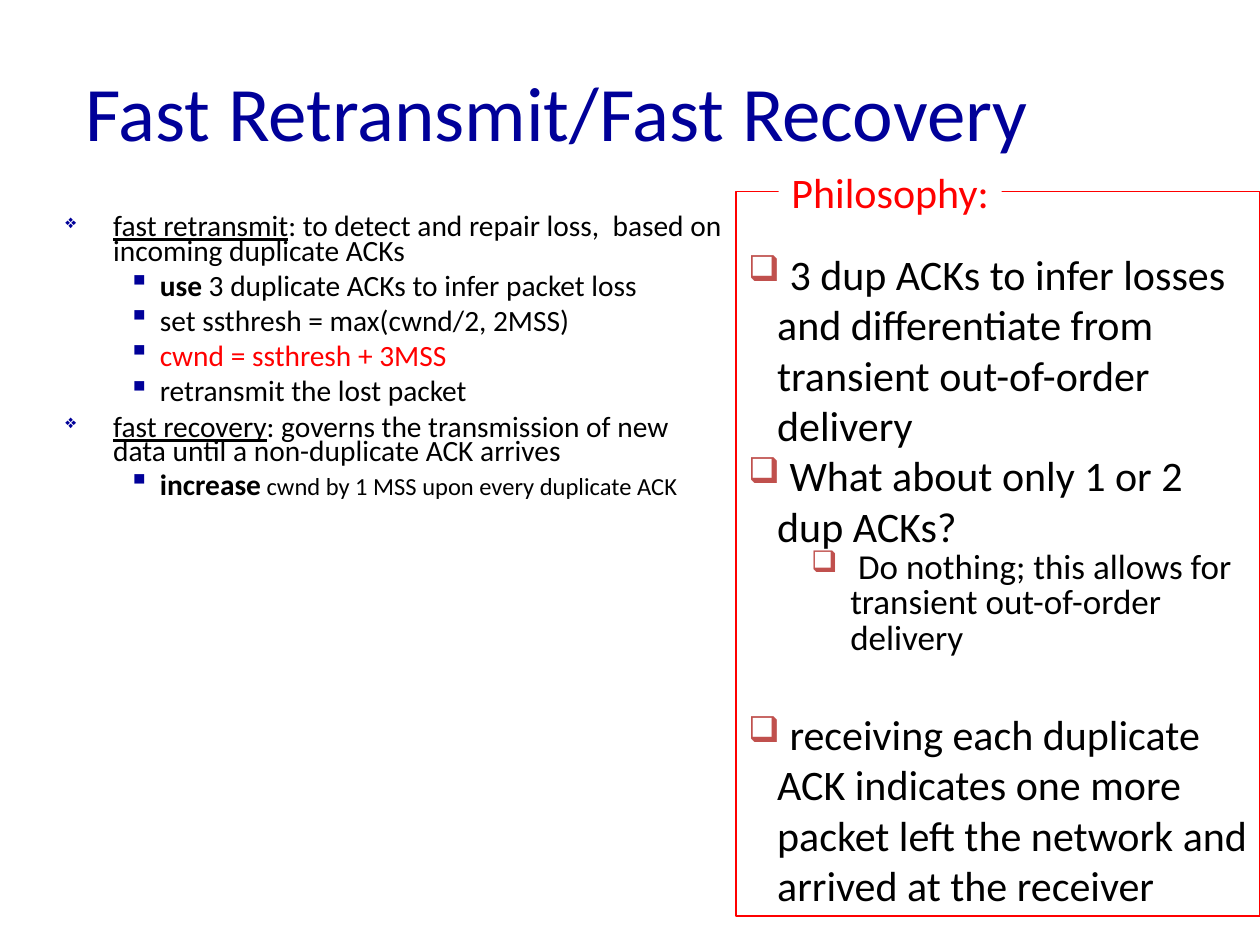
from dataclasses import dataclass

from lxml.etree import SubElement
from pptx import Presentation
from pptx.dml.color import RGBColor
from pptx.enum.shapes import MSO_SHAPE
from pptx.enum.text import MSO_ANCHOR, PP_ALIGN
from pptx.oxml.ns import qn
from pptx.util import Inches, Pt

FONT = "Calibri"
COLORS = {"navy": "000099", "red": "FF0000", "black": "000000",
          "brick": "C0504D", "white": "FFFFFF"}


@dataclass(frozen=True)
class Span:
    text: str
    size: float = 16.8
    color: str = "black"
    bold: bool = False
    underline: bool = False


@dataclass(frozen=True)
class Bullet:
    char: str
    color: str
    percent: int
    left: float
    hanging: float
    level: int = 0
    spacing: float = 1.0


@dataclass(frozen=True)
class Item:
    bullet: Bullet
    spans: tuple[Span, ...]
    before: float = 0


TOPIC = Bullet("❖", "navy", 65, 0.38, 0.38, spacing=0.7)
STEP = Bullet("▪", "navy", 100, 0.75, 0.25, level=1, spacing=0.7)
POINT = Bullet("❑", "brick", 85, 0.23, 0.23)
SUBPOINT = Bullet("❑", "brick", 85, 0.81, 0.31, level=1, spacing=0.85)

MECHANISMS = [
    Item(TOPIC, (Span("fast retransmit", underline=True),
                 Span(": to detect and repair loss,  based on incoming duplicate ACKs"))),
    Item(STEP, (Span("use", bold=True),
                Span(" 3 duplicate ACKs to infer packet loss")), 6),
    Item(STEP, (Span("set ssthresh = max(cwnd/2, 2MSS)"),), 6),
    Item(STEP, (Span("cwnd = ssthresh + 3MSS", color="red"),), 6),
    Item(STEP, (Span("retransmit the lost packet"),), 6),
    Item(TOPIC, (Span("fast recovery", underline=True),
                 Span(": governs the transmission of new data until "
                      "a non-duplicate ACK arrives")), 6),
    Item(STEP, (Span("increase", bold=True),
                Span(" cwnd by 1 MSS upon every duplicate ACK", 14)), 5),
]
PHILOSOPHY = [
    Item(POINT, (Span(" 3 dup ACKs to infer losses and differentiate from "
                      "transient out-of-order delivery", 24),)),
    Item(POINT, (Span(" What about only 1 or 2 dup ACKs?", 24),)),
    Item(SUBPOINT, (Span(" Do nothing; this allows for transient "
                         "out-of-order delivery", 20),)),
    Item(POINT, (Span(" receiving each duplicate ACK indicates one more packet "
                      "left the network and arrived at the receiver", 24),), 29),
]


def rgb(name: str) -> RGBColor:
    return RGBColor.from_string(COLORS[name])


def add_span(p, span: Span) -> None:
    r = p.add_run()
    r.text = span.text
    r.font.name = FONT
    r.font.size = Pt(span.size)
    r.font.bold = span.bold
    r.font.underline = span.underline
    r.font.color.rgb = rgb(span.color)


def set_bullet(p, bullet: Bullet) -> None:
    pPr = p._p.get_or_add_pPr()
    pPr.set("marL", str(Inches(bullet.left)))
    pPr.set("indent", str(-Inches(bullet.hanging)))
    clr = SubElement(pPr, qn("a:buClr"))
    SubElement(clr, qn("a:srgbClr"), val=COLORS[bullet.color])
    SubElement(pPr, qn("a:buSzPct"), val=str(bullet.percent * 1000))
    SubElement(pPr, qn("a:buChar"), char=bullet.char)


def fill_list(tf, items: list[Item]) -> None:
    for i, item in enumerate(items):
        p = tf.add_paragraph() if i else tf.paragraphs[0]
        p.level = item.bullet.level
        p.alignment = PP_ALIGN.LEFT
        p.line_spacing = item.bullet.spacing
        p.space_before = Pt(item.before)
        set_bullet(p, item.bullet)
        for span in item.spans:
            add_span(p, span)


def add_text_box(s, left: float, top: float, width: float, height: float):
    tf = s.shapes.add_textbox(Inches(left), Inches(top),
                              Inches(width), Inches(height)).text_frame
    tf.word_wrap = True
    return tf


def add_box(s, left: float, top: float, width: float, height: float):
    sp = s.shapes.add_shape(MSO_SHAPE.RECTANGLE, Inches(left), Inches(top),
                            Inches(width), Inches(height))
    sp.shadow.inherit = False
    return sp


def main() -> None:
    prs = Presentation()
    prs.slide_width, prs.slide_height = Inches(10), Inches(7.5)
    s = prs.slides.add_slide(prs.slide_layouts[6])

    title = add_text_box(s, 0.58, 0.25, 8.5, 1.25)
    title.vertical_anchor = MSO_ANCHOR.MIDDLE
    add_span(title.paragraphs[0], Span("Fast Retransmit/Fast Recovery", 44, "navy"))

    fill_list(add_text_box(s, 0.42, 1.67, 5.42, 2.67), MECHANISMS)

    frame = add_box(s, 5.84, 1.52, 4.16, 5.75)
    frame.fill.background()
    frame.line.color.rgb = rgb("red")
    frame.line.width = Pt(1)
    tf = frame.text_frame
    tf.word_wrap = True
    tf.vertical_anchor = MSO_ANCHOR.TOP
    tf.margin_top = Inches(0.45)
    fill_list(tf, PHILOSOPHY)

    label = add_box(s, 6.18, 1.27, 1.77, 0.5)
    label.fill.solid()
    label.fill.fore_color.rgb = rgb("white")
    label.line.fill.background()
    label.text_frame.word_wrap = False
    label.text_frame.vertical_anchor = MSO_ANCHOR.TOP
    p = label.text_frame.paragraphs[0]
    p.alignment = PP_ALIGN.CENTER
    add_span(p, Span("Philosophy:", 24, "red"))

    prs.save("out.pptx")


if __name__ == "__main__":
    main()
